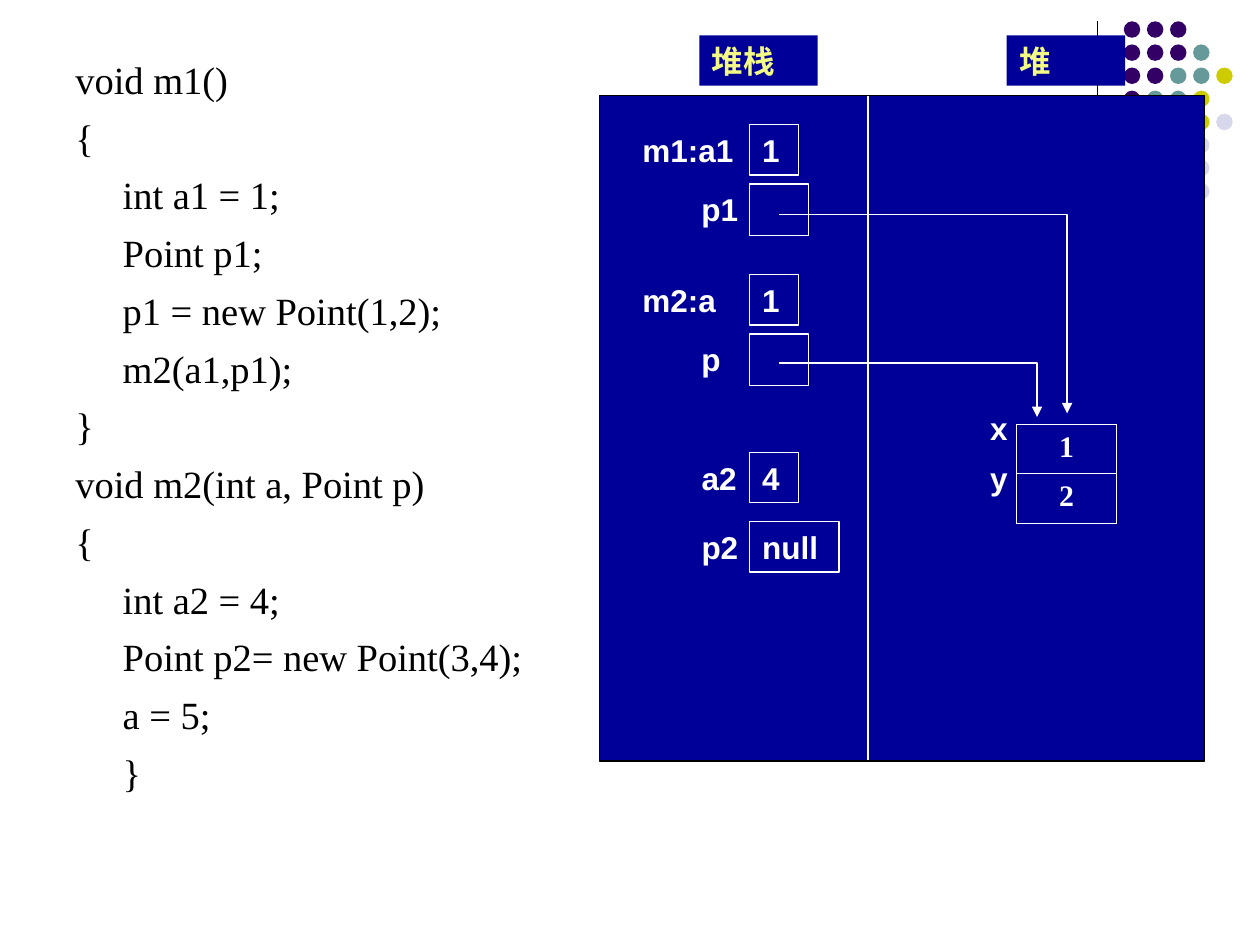
from lxml.etree import SubElement
from pptx import Presentation
from pptx.dml.color import RGBColor
from pptx.enum.shapes import MSO_CONNECTOR, MSO_SHAPE
from pptx.enum.text import MSO_ANCHOR, PP_ALIGN
from pptx.oxml.ns import qn
from pptx.util import Pt

NAVY, WHITE, BLACK, YELLOW = "000099", "FFFFFF", "000000", "F3F985"
DOT_COLORS = {"P": "330066", "T": "669999", "Y": "CCCC00", "L": "D8D8EC"}
DOT_ROWS = ["PPP", "PPPT", "PPTTY", "PTTY", "   YL", "   L", "   L", "   L"]
CODE = [
    "void m1()", "{", "\tint a1 = 1;", "\tPoint p1;",
    "\tp1 = new Point(1,2);", "\tm2(a1,p1);", "}",
    "void m2(int a, Point p)", "{", "\tint a2 = 4;",
    "\tPoint p2= new Point(3,4);", "\ta = 5;", "\t}",
]
VARIABLES = [
    ("m1:a1", 360, 71.3, 79, "1", 28.1),
    ("p1", 393.8, 105.1, 45.4, "", 33.8),
    ("m2:a", 360, 157, 79, "1", 28.1),
    ("p", 393.8, 190.8, 45.4, "", 33.8),
    ("a2", 393.8, 258.5, 39.6, "4", 28.1),
    ("p2", 393.8, 298.1, 39.6, "null", 51.1),
]
VALUE_X, ROW_H = 428.4, 28.8


def rgb(color):
    return RGBColor.from_string(color)


class Slide:
    heading = {"name": "Arial", "size": Pt(18), "bold": True}
    code_font = {"name": "Times New Roman", "size": Pt(22), "bold": False}
    cell_font = {"name": "Times New Roman", "size": Pt(17), "bold": True}

    def __init__(self, prs):
        self.s = prs.slides.add_slide(prs.slide_layouts[6])

    def add_text(self, p, text, style, color):
        r = p.add_run()
        r.text = text
        for key, value in style.items():
            setattr(r.font, key, value)
        r.font.color.rgb = rgb(color)

    def shape(self, x, y, w, h, fill, line=None, text="", color=WHITE,
              kind=MSO_SHAPE.RECTANGLE):
        sp = self.s.shapes.add_shape(kind, Pt(x), Pt(y), Pt(w), Pt(h))
        sp.shadow.inherit = False
        sp.fill.solid()
        sp.fill.fore_color.rgb = rgb(fill)
        if line:
            sp.line.color.rgb = rgb(line)
            sp.line.width = Pt(0.75)
        else:
            sp.line.fill.background()
        if text:
            tf = sp.text_frame
            tf.word_wrap = True
            tf.vertical_anchor = MSO_ANCHOR.TOP
            p = tf.paragraphs[0]
            p.alignment = PP_ALIGN.LEFT
            self.add_text(p, text, self.heading, color)

    def line(self, x1, y1, x2, y2, color, width):
        c = self.s.shapes.add_connector(
            MSO_CONNECTOR.STRAIGHT, Pt(x1), Pt(y1), Pt(x2), Pt(y2))
        c.line.color.rgb = rgb(color)
        c.line.width = Pt(width)
        SubElement(c._element.spPr, qn("a:effectLst"))
        return c

    def bent_arrow(self, x1, y1, x2, y2):
        c = self.line(x1, y1, x2, y2, WHITE, 0.75)
        c._element.spPr.find(qn("a:prstGeom")).set("prst", "bentConnector2")
        SubElement(c._element.spPr.find(qn("a:ln")), qn("a:tailEnd"), type="triangle")

    def code(self, x, y, w, h, lines):
        tf = self.s.shapes.add_textbox(Pt(x), Pt(y), Pt(w), Pt(h)).text_frame
        tf.word_wrap = True
        tf.margin_top = Pt(6)
        for i, text in enumerate(lines):
            p = tf.add_paragraph() if i else tf.paragraphs[0]
            pPr = p._p.get_or_add_pPr()
            pPr.set("marL", str(Pt(27)))
            pPr.set("indent", str(Pt(-27)))
            if i:
                p.space_before = Pt(6.6)
            self.add_text(p, text, self.code_font, BLACK)

    def border(self, cell):
        tcPr = cell._tc.get_or_add_tcPr()
        for i, side in enumerate(("lnL", "lnR", "lnT", "lnB")):
            ln = SubElement(tcPr, qn(f"a:{side}"), w=str(Pt(0.45)))
            fill = SubElement(ln, qn("a:solidFill"))
            SubElement(fill, qn("a:srgbClr"), val=WHITE)
            tcPr.insert(i, ln)

    def table(self, x, y, w, row_h, values):
        tbl = self.s.shapes.add_table(
            len(values), 1, Pt(x), Pt(y), Pt(w), Pt(row_h * len(values))).table
        tbl.first_row = tbl.horz_banding = False
        for i, value in enumerate(values):
            cell = tbl.cell(i, 0)
            cell.fill.background()
            self.border(cell)
            p = cell.text_frame.paragraphs[0]
            p.alignment = PP_ALIGN.CENTER
            self.add_text(p, value, self.cell_font, WHITE)


def main():
    prs = Presentation()
    prs.slide_width, prs.slide_height = Pt(720), Pt(540)
    s = Slide(prs)

    s.line(627.1, 12.2, 627.1, 131.8, BLACK, 0.75)
    for row, keys in enumerate(DOT_ROWS):
        for col, key in enumerate(keys):
            if key in DOT_COLORS:
                s.shape(642.2 + 13.2 * col, 12.2 + 13.2 * row, 9.4, 9.4,
                        DOT_COLORS[key], kind=MSO_SHAPE.OVAL)

    s.shape(342.7, 54.7, 345.6, 380.2, NAVY, BLACK)
    for text, x in (("堆栈", 399.6), ("堆", 575.3)):
        s.shape(x, 20.2, 67.7, ROW_H, NAVY, text=text, color=YELLOW)
    s.line(496.1, 54.7, 496.1, 434.2, WHITE, 1.5)

    for name, x, y, w, value, value_w in VARIABLES:
        s.shape(x, y, w, ROW_H, NAVY, text=name)
        s.shape(VALUE_X, y, value_w, ROW_H if value else 29.5, NAVY, WHITE, value)
    for name, y in (("x", 230.4), ("y", 258.5)):
        s.shape(558.7, y, 28.1, ROW_H, NAVY, text=name)

    s.bent_arrow(445, 207.4, 592.6, 238.3)
    s.bent_arrow(445, 122.4, 609.8, 236.2)
    s.code(36, 26, 318.2, 456.5, CODE)
    s.table(581, 242.6, 56.9, 28.1, ["1", "2"])
    prs.save("out.pptx")


if __name__ == "__main__":
    main()
